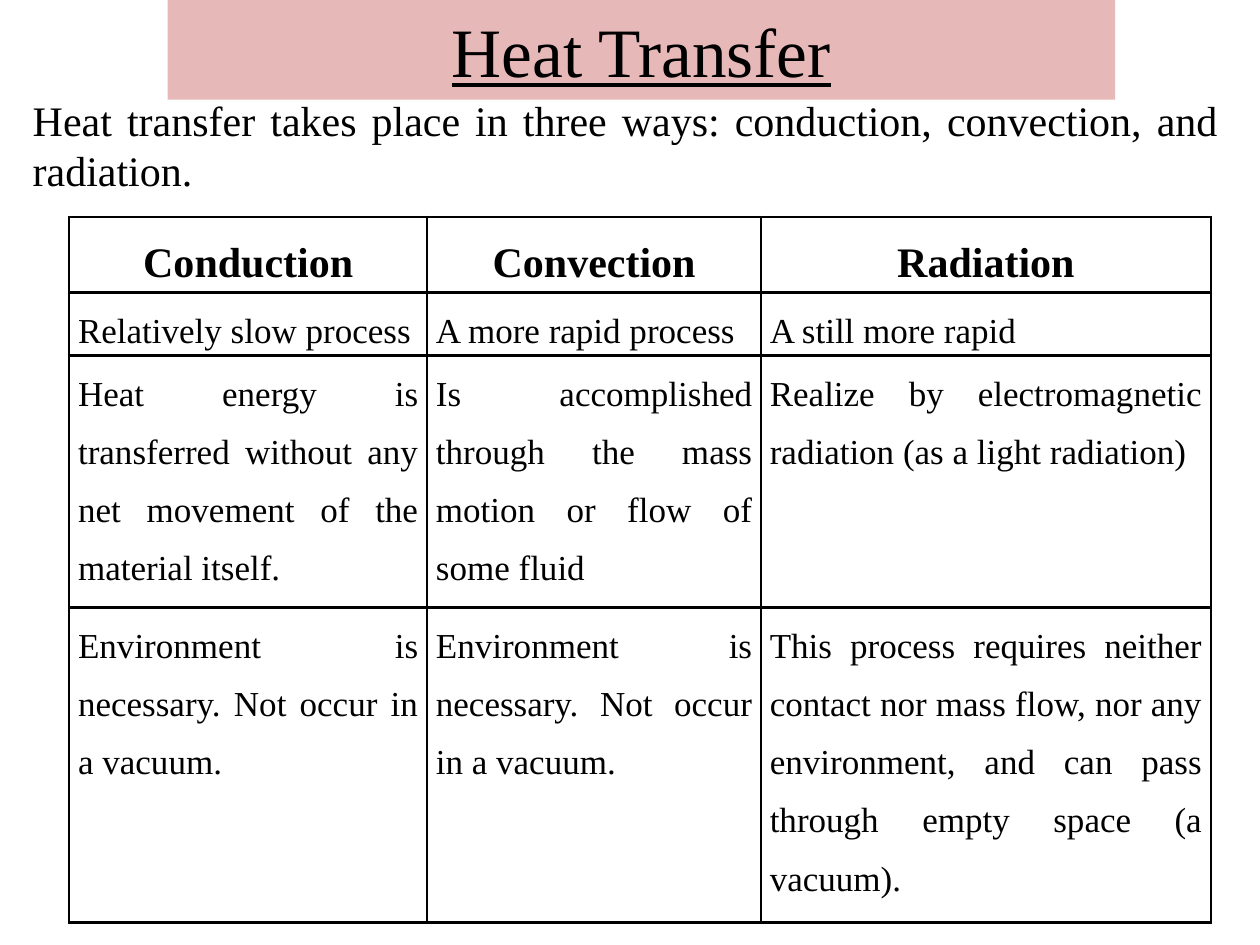
from dataclasses import dataclass

from lxml.etree import SubElement
from pptx import Presentation
from pptx.dml.color import RGBColor
from pptx.enum.text import MSO_ANCHOR, MSO_AUTO_SIZE, PP_ALIGN
from pptx.oxml.ns import qn
from pptx.util import Emu, Inches, Pt


@dataclass(frozen=True)
class Theme:
    font: str = "Times New Roman"
    ink: RGBColor = RGBColor(0x00, 0x00, 0x00)
    banner: RGBColor = RGBColor(0xE6, 0xB9, 0xB8)
    title_size: float = 39.6
    lead_size: float = 24
    cell_size: float = 20
    border_width: float = 1.5
    cell_spacing: float = 1.5


class SlideBuilder:
    GRID_COLUMNS = 100
    GRID_ROWS = 75

    def __init__(self, deck, theme):
        self.deck = deck
        self.theme = theme
        self.slide = deck.slides.add_slide(deck.slide_layouts[1])

    def across(self, columns):
        return Emu(round(self.deck.slide_width * columns / self.GRID_COLUMNS))

    def down(self, rows):
        return Emu(round(self.deck.slide_height * rows / self.GRID_ROWS))

    def place(self, box, left, top, width, height):
        box.left, box.top = self.across(left), self.down(top)
        box.width, box.height = self.across(width), self.down(height)

    def add_text(self, frame, text, size, align, bold=False, underline=False):
        para = frame.paragraphs[0]
        para.alignment = align
        span = para.add_run()
        span.text = text
        font = span.font
        font.name, font.size = self.theme.font, Pt(size)
        font.bold, font.underline = bold, underline
        font.color.rgb = self.theme.ink
        return para

    def title(self, text, *area):
        box = self.slide.shapes.title
        self.place(box, *area)
        box.fill.solid()
        box.fill.fore_color.rgb = self.theme.banner
        frame = box.text_frame
        frame.auto_size = MSO_AUTO_SIZE.NONE
        frame.vertical_anchor = MSO_ANCHOR.MIDDLE
        self.add_text(frame, text, self.theme.title_size, PP_ALIGN.CENTER, underline=True)

    def lead(self, text, *area):
        box = self.slide.placeholders[1]
        self.place(box, *area)
        frame = box.text_frame
        frame.word_wrap = True
        frame.auto_size = MSO_AUTO_SIZE.SHAPE_TO_FIT_TEXT
        properties = frame.paragraphs[0]._p.get_or_add_pPr()
        properties.set("marL", "0")
        properties.set("indent", "0")
        SubElement(properties, qn("a:buNone"))
        para = self.add_text(frame, text, self.theme.lead_size, PP_ALIGN.JUSTIFY)
        para.space_before = Pt(0)

    def border(self, cell):
        properties = cell._tc.get_or_add_tcPr()
        for side in ("a:lnL", "a:lnR", "a:lnT", "a:lnB"):
            line = SubElement(properties, qn(side), w=str(Pt(self.theme.border_width)))
            fill = SubElement(line, qn("a:solidFill"))
            SubElement(fill, qn("a:srgbClr"), val=str(self.theme.ink))

    def cell(self, cell, text, header, align):
        cell.margin_left = cell.margin_right = self.across(0.7)
        cell.margin_top = cell.margin_bottom = 0
        cell.vertical_anchor = MSO_ANCHOR.TOP
        self.border(cell)
        cell.fill.background()
        size = self.theme.lead_size if header else self.theme.cell_size
        para = self.add_text(cell.text_frame, text, size, align, bold=header)
        para.line_spacing = self.theme.cell_spacing

    def table(self, entries, left, top, widths, heights):
        table = self.slide.shapes.add_table(
            len(heights), len(widths), self.across(left), self.down(top),
            self.across(sum(widths)), self.down(sum(heights)),
        ).table
        table.first_row = table.horz_banding = False
        for column, width in zip(table.columns, widths):
            column.width = self.across(width)
        aligns = [PP_ALIGN.CENTER, PP_ALIGN.LEFT, PP_ALIGN.JUSTIFY, PP_ALIGN.JUSTIFY]
        for row, (height, texts, align) in enumerate(zip(heights, entries, aligns)):
            table.rows[row].height = self.down(height)
            for column, text in enumerate(texts):
                self.cell(table.cell(row, column), text, row == 0, align)


def main():
    deck = Presentation()
    deck.slide_width, deck.slide_height = Inches(10), Inches(7.5)
    page = SlideBuilder(deck, Theme())
    page.title("Heat Transfer", 13.3, 0, 75.2, 7.9)
    page.lead(
        "Heat transfer takes place in three ways: conduction, convection, and radiation.",
        1.6, 7, 96.1, 9.1,
    )
    vacuum = "Environment is necessary. Not occur in a vacuum."
    entries = [
        ("Conduction", "Convection", "Radiation"),
        ("Relatively slow process", "A more rapid process", "A still more rapid"),
        (
            "Heat energy is transferred without any net movement of the material itself.",
            "Is accomplished through the mass motion or flow of some fluid",
            "Realize by electromagnetic radiation (as a light radiation)",
        ),
        (
            vacuum,
            vacuum,
            "This process requires neither contact nor mass flow, nor any environment, "
            "and can pass through empty space (a vacuum).",
        ),
    ]
    page.table(entries, 5.5, 17.2, [28.4, 26.5, 35.7], [6, 5, 20, 25])
    deck.save("out.pptx")


if __name__ == "__main__":
    main()
